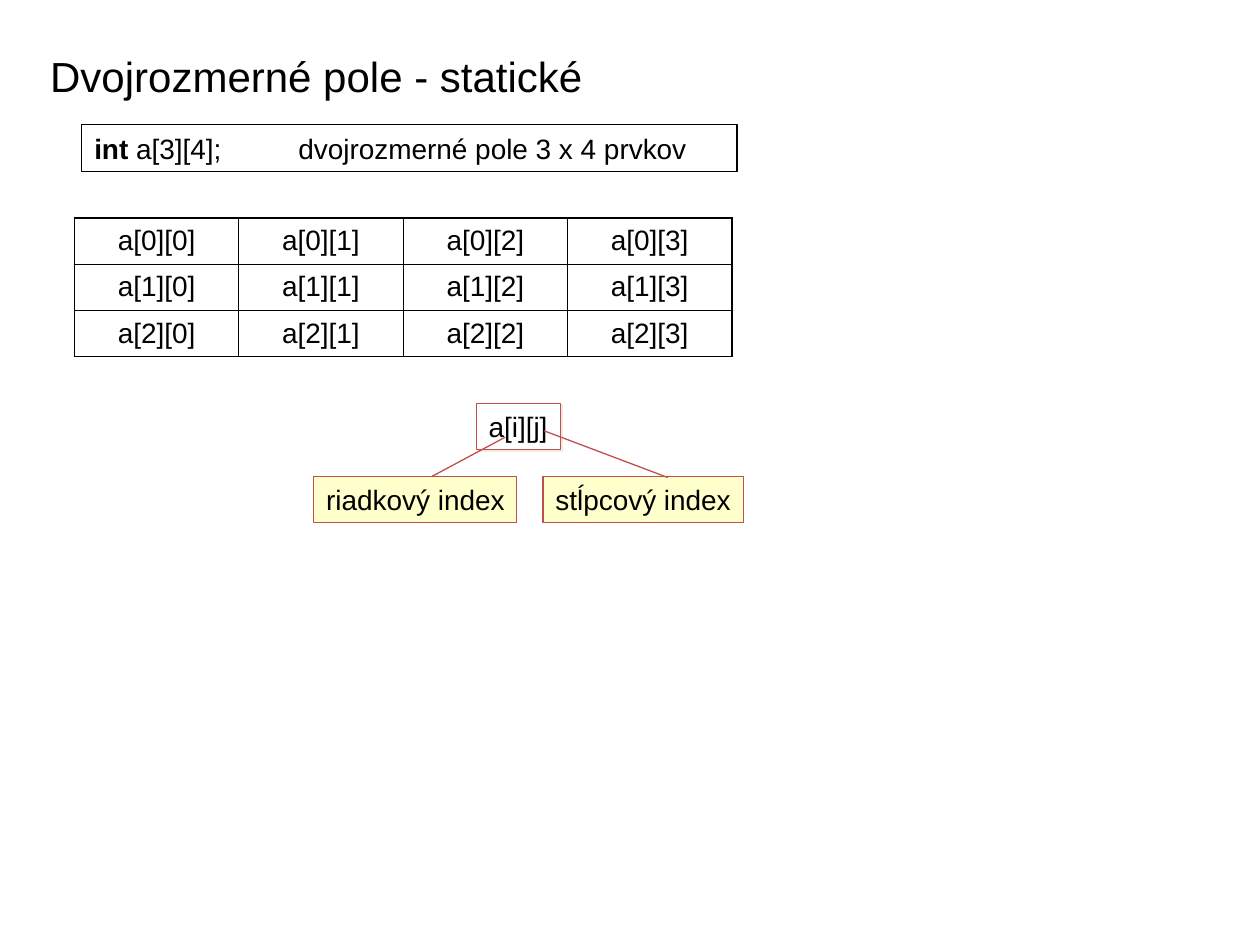
from dataclasses import dataclass

from lxml.etree import SubElement
from pptx import Presentation
from pptx.dml.color import RGBColor
from pptx.enum.shapes import MSO_CONNECTOR, MSO_SHAPE
from pptx.enum.text import MSO_ANCHOR, PP_ALIGN
from pptx.oxml import parse_xml
from pptx.oxml.ns import nsdecls, qn
from pptx.util import Inches, Pt


@dataclass(frozen=True)
class Theme:
    font: str = "Arial"
    ink: str = "000000"
    paper: str = "FFFFFF"
    note: str = "FFFFCC"
    accent: str = "C0504D"
    shade: str = "EEECE1"
    head: int = 24
    body: int = 16
    line: float = 0.75
    thin: float = 0.45
    edge: float = 1.08


theme = Theme()


def write(frame, text, size=theme.body, bold="", align=PP_ALIGN.LEFT, tab=None):
    """Fill a text frame; an optional bold lead goes before the text."""
    para = frame.paragraphs[0]
    para.alignment = align
    if tab:
        tabs = SubElement(para._p.get_or_add_pPr(), qn("a:tabLst"))
        SubElement(tabs, qn("a:tab"), pos=str(Inches(tab)), algn="l")
    for part, heavy in ((bold, True), (text, False)):
        if part:
            run = para.add_run()
            run.text = part
            run.font.name = theme.font
            run.font.size = Pt(size)
            run.font.bold = heavy
            run.font.color.rgb = RGBColor.from_string(theme.ink)


def add_box(spot, fill, line, wrap=True):
    box = slide.shapes.add_shape(MSO_SHAPE.RECTANGLE, *map(Inches, spot))
    box.shadow.inherit = False
    box.fill.solid()
    box.fill.fore_color.rgb = RGBColor.from_string(fill)
    box.line.color.rgb = RGBColor.from_string(line)
    box.line.width = Pt(theme.line)
    box.text_frame.word_wrap = wrap
    return box


deck = Presentation()
deck.slide_width, deck.slide_height = Inches(10), Inches(7.5)
slide = deck.slides.add_slide(deck.slide_layouts[6])

# Title
title = add_box((0.3, 0.35, 5.56, 0.5), theme.paper, theme.paper)
write(title.text_frame, "Dvojrozmerné pole - statické", size=theme.head)

# Declaration
code = add_box((0.65, 0.99, 5.2, 0.37), theme.paper, theme.ink)
write(code.text_frame, " a[3][4];\tdvojrozmerné pole 3 x 4 prvkov", bold="int", tab=1.62)

# Array elements, with a heavier outer frame
rows, cols = 3, 4
table = slide.shapes.add_table(
    rows, cols, Inches(0.59), Inches(1.73), Inches(5.22), Inches(1.1)).table
for r in range(rows):
    for c in range(cols):
        cell = table.cell(r, c)
        cell.fill.solid()
        cell.fill.fore_color.rgb = RGBColor.from_string(theme.paper)
        cell.vertical_anchor = MSO_ANCHOR.MIDDLE
        write(cell.text_frame, f"a[{r}][{c}]", align=PP_ALIGN.CENTER)
        outer = {"L": c == 0, "R": c == cols - 1, "T": r == 0, "B": r == rows - 1}
        for i, (side, edge) in enumerate(outer.items()):
            width = Pt(theme.edge if edge else theme.thin)
            cell._tc.get_or_add_tcPr().insert(i, parse_xml(
                f'<a:ln{side} {nsdecls("a")} w="{width}"><a:solidFill>'
                f'<a:srgbClr val="{theme.ink}"/></a:solidFill></a:ln{side}>'))

# Element with its two index labels
item = add_box((3.78, 3.2, 0.67, 0.37), theme.paper, theme.accent, wrap=False)
write(item.text_frame, "a[i][j]")
glow = item._element.spPr.find(qn("a:effectLst"))
shade = SubElement(glow, qn("a:outerShdw"), dist=str(Pt(1.4)), dir="2700000")
SubElement(shade, qn("a:srgbClr"), val=theme.shade)

for text, left, width in (("riadkový index", 2.49, 1.61), ("stĺpcový index", 4.31, 1.59)):
    label = add_box((left, 3.78, width, 0.37), theme.note, theme.accent, wrap=False)
    write(label.text_frame, text)

# Lines from the indices to their labels
for ends in ((4.01, 3.47, 3.43, 3.78), (4.32, 3.42, 5.3, 3.79)):
    link = slide.shapes.add_connector(MSO_CONNECTOR.STRAIGHT, *map(Inches, ends))
    link.line.color.rgb = RGBColor.from_string(theme.accent)
    link.line.width = Pt(theme.line)
    SubElement(link._element.spPr, qn("a:effectLst"))

deck.save("out.pptx")
